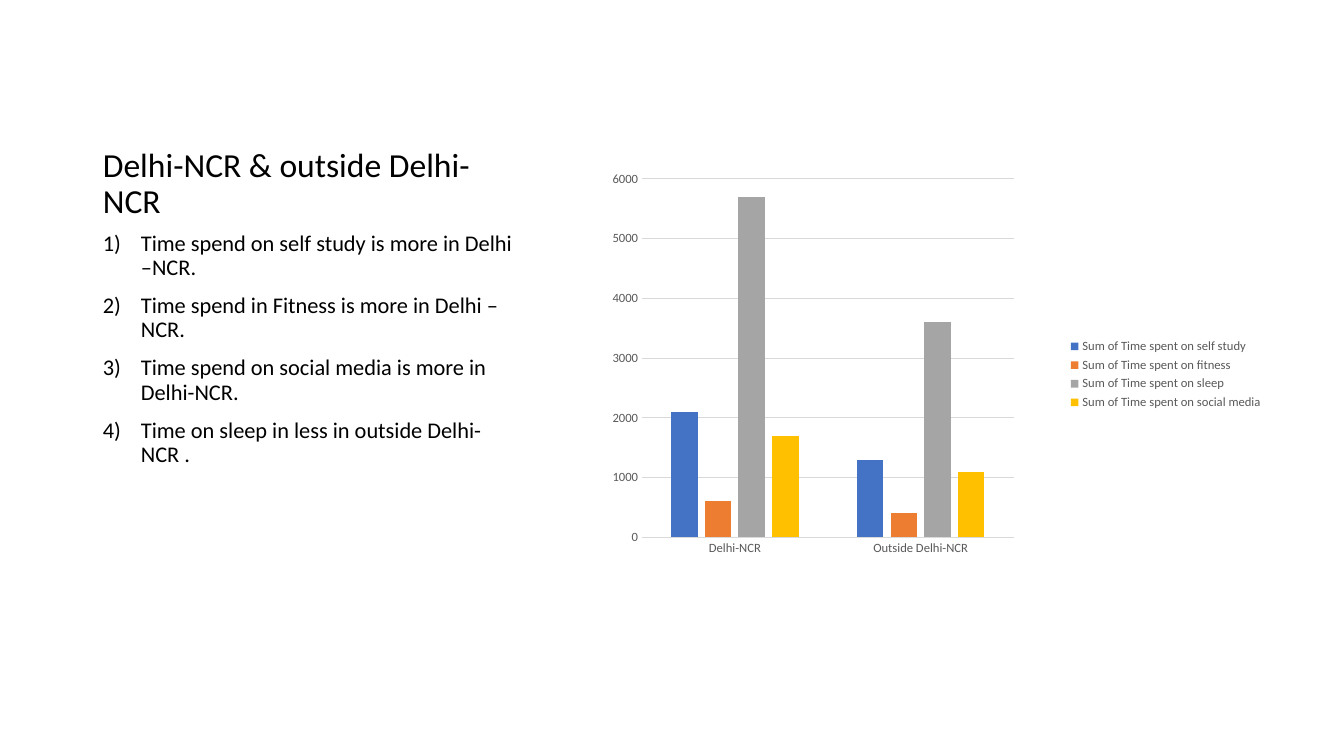
import pptx
import pptx.chart.data
import pptx.dml.color
import pptx.enum.chart
import pptx.enum.text
import pptx.oxml
import pptx.oxml.ns
import pptx.util

PX = 914400 / 100.8
COLORS = {
    "text": "000000",
    "label": "595959",
    "grid": "D9D9D9",
    "study": "4472C4",
    "fitness": "ED7D31",
    "sleep": "A5A5A5",
    "social": "FFC000",
}
FINDINGS = [
    "Time spend on self study is more in Delhi –NCR.",
    "Time spend in Fitness is more in Delhi –NCR.",
    "Time spend on social media is more in Delhi-NCR.",
    "Time on sleep in less in outside Delhi-NCR .",
]
SERIES = [
    ("Sum of Time spent on self study", (2100, 1300), "study"),
    ("Sum of Time spent on fitness", (600, 400), "fitness"),
    ("Sum of Time spent on sleep", (5700, 3600), "sleep"),
    ("Sum of Time spent on social media", (1700, 1100), "social"),
]


def set_font(font, size, color):
    font.name = "Calibri"
    font.size = pptx.util.Pt(size)
    font.color.rgb = pptx.dml.color.RGBColor.from_string(COLORS[color])


def add_text(top, height, lines, size, anchor):
    box = slide.shapes.add_textbox(*[round(length * PX) for length in (93, top, 433, height)])
    frame = box.text_frame
    frame.word_wrap = True
    frame.vertical_anchor = anchor
    frame.text = "\n".join(lines)
    for para in frame.paragraphs:
        para.line_spacing = 0.9
        set_font(para.runs[0].font, size, "text")
    return frame


deck = pptx.Presentation()
deck.slide_width = round(1344 * PX)
deck.slide_height = round(756 * PX)
slide = deck.slides.add_slide(deck.slide_layouts[6])

add_text(50, 176, ["Delhi-NCR & outside Delhi-NCR"], 24, pptx.enum.text.MSO_ANCHOR.BOTTOM)

findings = add_text(227, 420, FINDINGS, 16, pptx.enum.text.MSO_ANCHOR.TOP)
for para in findings.paragraphs:
    para.space_before = pptx.util.Pt(10)
    properties = para._p.get_or_add_pPr()
    properties.set("marL", str(round(38 * PX)))
    properties.set("indent", str(round(-38 * PX)))
    numbering = pptx.oxml.parse_xml(
        f'<a:buAutoNum {pptx.oxml.ns.nsdecls("a")} type="arabicParenR"/>'
    )
    properties.append(numbering)

data = pptx.chart.data.CategoryChartData()
data.categories = ["Delhi-NCR", "Outside Delhi-NCR"]
for name, values, color in SERIES:
    data.add_series(name, values)
chart = slide.shapes.add_chart(
    pptx.enum.chart.XL_CHART_TYPE.COLUMN_CLUSTERED,
    *[round(length * PX) for length in (572, 103, 701, 543)],
    data,
).chart
set_font(chart.font, 10, "text")
chart.has_title = False
chart.has_legend = True
chart.legend.position = pptx.enum.chart.XL_LEGEND_POSITION.RIGHT
chart.legend.include_in_layout = False
set_font(chart.legend.font, 9, "label")

plot = chart.plots[0]
plot.vary_by_categories = False
plot.gap_width = 219
plot.overlap = -27
for series, (name, values, color) in zip(plot.series, SERIES):
    series.format.fill.solid()
    series.format.fill.fore_color.rgb = pptx.dml.color.RGBColor.from_string(COLORS[color])

for axis in (chart.category_axis, chart.value_axis):
    axis.major_tick_mark = pptx.enum.chart.XL_TICK_MARK.NONE
    axis.minor_tick_mark = pptx.enum.chart.XL_TICK_MARK.NONE
    set_font(axis.tick_labels.font, 9, "label")
chart.value_axis.minimum_scale = 0
chart.value_axis.maximum_scale = 6000
chart.value_axis.major_unit = 1000
chart.value_axis.has_major_gridlines = True
chart.value_axis.format.line.fill.background()
for line in (chart.category_axis.format.line, chart.value_axis.major_gridlines.format.line):
    line.width = pptx.util.Pt(0.75)
    line.color.rgb = pptx.dml.color.RGBColor.from_string(COLORS["grid"])

plot_area = chart._chartSpace.chart.plotArea
for old_layout in plot_area.findall(pptx.oxml.ns.qn("c:layout")):
    plot_area.remove(old_layout)
plot_layout = pptx.oxml.parse_xml(
    f'<c:layout {pptx.oxml.ns.nsdecls("c")}><c:manualLayout>'
    '<c:layoutTarget val="inner"/><c:xMode val="edge"/><c:yMode val="edge"/>'
    '<c:x val="0.1"/><c:y val="0.14"/><c:w val="0.53"/><c:h val="0.66"/>'
    "</c:manualLayout></c:layout>"
)
plot_area.insert(0, plot_layout)

deck.save("out.pptx")
